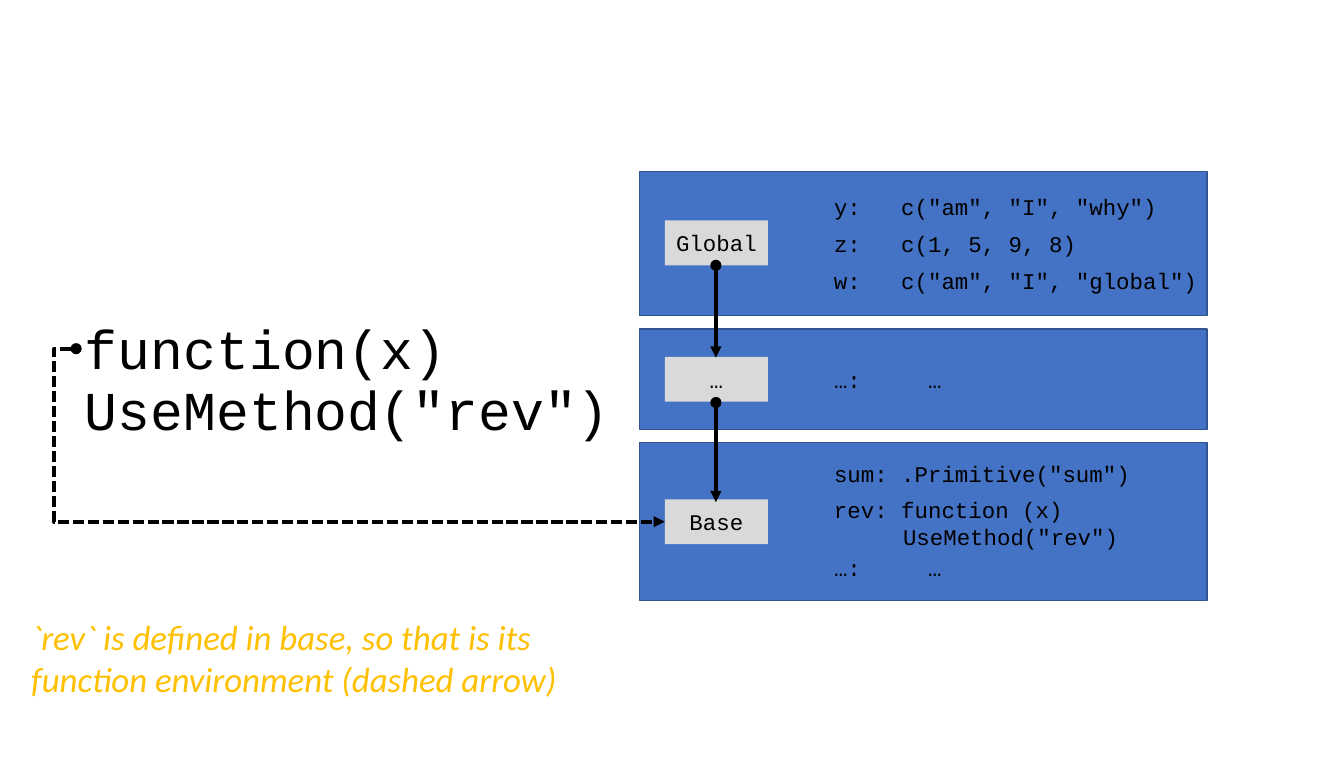
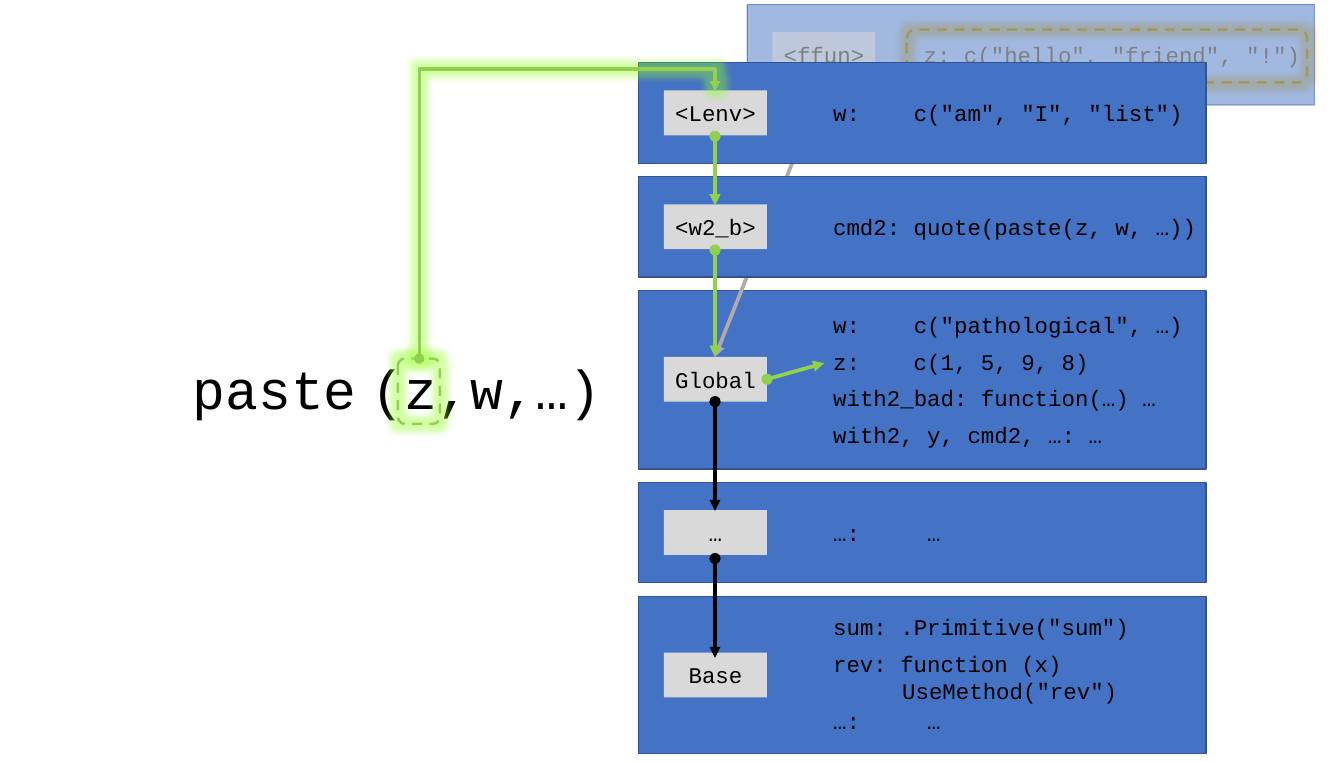
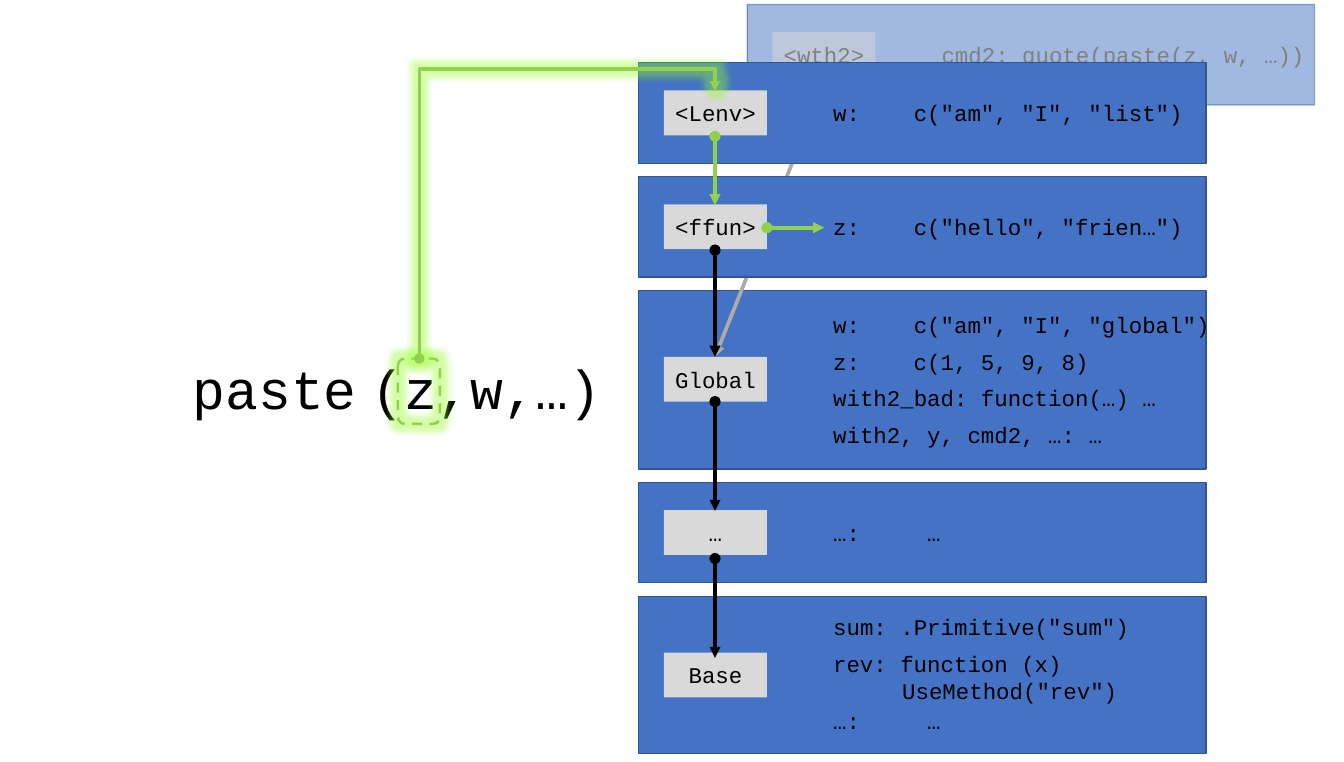
from dataclasses import dataclass

from lxml.etree import SubElement
from pptx import Presentation
from pptx.dml.color import RGBColor
from pptx.enum.dml import MSO_LINE
from pptx.enum.shapes import MSO_CONNECTOR as CONN, MSO_SHAPE as SHAPE
from pptx.enum.text import MSO_ANCHOR as ANCHOR, MSO_AUTO_SIZE as FIT, PP_ALIGN as ALIGN
from pptx.oxml.ns import qn
from pptx.util import Pt

PX = 9144  # EMU per px, 100 px to the inch


@dataclass(frozen=True)
class Theme:
    band: str = "4472C4"
    band_edge: str = "325491"
    chip: str = "D9D9D9"
    ink: str = "000000"
    faded_ink: str = "808080"
    faded_arrow: str = "AFABAB"
    found: str = "92D050"
    accent: str = "FFC000"
    code_font: str = "Courier New"
    text_font: str = "Calibri"
    code_size: int = 18
    caption_size: int = 28
    call_size: int = 44


T = Theme()

BAND_W, BAND_H, BAND_GAP = 633, 112, 15
CHIP_W, CHIP_H, CHIP_DX = 115, 50, 28
SPINE_DX = 85
ROW_H, ROW_PITCH, ROW_DX = 40, 41, 207
CHAR_W = 15
GLOW_RADIUS = 15


@dataclass(frozen=True)
class Row:
    """One binding; a tab in the text jumps to the given character column."""
    text: str
    column: int = 0
    indent: int = 0

    @property
    def width(self):
        value = self.text.split("\t")[-1]
        return CHAR_W * (self.column + len(value)) + 22


DOTS_ROW = Row("…:\t…", 7)
BASE_ROWS = [Row('sum: .Primitive("sum")'), Row("rev: function (x)"),
             Row('UseMethod("rev")', indent=77), DOTS_ROW]
BASE_TOPS = (14, 55, 85, 119)


def rgb(color):
    return RGBColor.from_string(color)


def px(*lengths):
    return [round(n * PX) for n in lengths]


def add_run(p, text, size, color, font, italic=False):
    r = p.add_run()
    r.text = text
    r.font.name, r.font.size = font, Pt(size)
    r.font.color.rgb, r.font.italic = rgb(color), italic


def add_text(s, x, y, w, h, text, size=T.code_size, color=T.ink,
             font=T.code_font, italic=False, anchor=ANCHOR.TOP, column=0):
    tf = s.shapes.add_textbox(*px(x, y, w, h)).text_frame
    tf.word_wrap, tf.auto_size = True, FIT.SHAPE_TO_FIT_TEXT
    tf.vertical_anchor = anchor
    p = tf.paragraphs[0]
    add_run(p, text, size, color, font, italic)
    if column:
        tabs = SubElement(p._p.get_or_add_pPr(), qn("a:tabLst"))
        SubElement(tabs, qn("a:tab"), pos=str(column * CHAR_W * PX), algn="l")


def add_call(s, x, y, w, text):
    add_text(s, x, y, w, 84, text, size=T.call_size)


def add_box(s, kind, x, y, w, h, fill=None, line=None, weight=1):
    sp = s.shapes.add_shape(kind, *px(x, y, w, h))
    sp.shadow.inherit = False
    if fill:
        sp.fill.solid()
        sp.fill.fore_color.rgb = rgb(fill)
    else:
        sp.fill.background()
    if line:
        sp.line.color.rgb, sp.line.width = rgb(line), Pt(weight)
    else:
        sp.line.fill.background()
    return sp


def make_translucent(sp):
    for color in sp.element.spPr.iter(qn("a:srgbClr")):
        SubElement(color, qn("a:alpha"), val="50000")


def add_glow(sp, color):
    effects = sp.element.spPr.find(qn("a:effectLst"))
    glow = SubElement(effects, qn("a:glow"), rad=str(GLOW_RADIUS * PX))
    clr = SubElement(glow, qn("a:srgbClr"), val=color)
    SubElement(clr, qn("a:satMod"), val="175000")
    SubElement(clr, qn("a:alpha"), val="40000")


def add_ring(s, x, y, w, h, color):
    """Dashed, glowing outline around a looked-up name."""
    sp = add_box(s, SHAPE.ROUNDED_RECTANGLE, x, y, w, h, line=color, weight=2)
    sp.line.dash_style = MSO_LINE.DASH
    add_glow(sp, color)


def add_arrow(s, start, end, color=T.ink, kind=CONN.STRAIGHT, weight=3, dash=None):
    c = s.shapes.add_connector(kind, *px(*start, *end))
    c.line.color.rgb, c.line.width = rgb(color), Pt(weight)
    if dash:
        c.line.dash_style = dash
    ln = c.line._get_or_add_ln()
    SubElement(ln, qn("a:headEnd"), type="oval")
    SubElement(ln, qn("a:tailEnd"), type="triangle")
    SubElement(c.element.spPr, qn("a:effectLst"))
    return c


def set_bend(c, percent):
    guides = c.element.spPr.find(qn("a:prstGeom")).find(qn("a:avLst"))
    SubElement(guides, qn("a:gd"), name="adj1", fmla=f"val {round(percent * 1000)}")


def add_vertical_elbow(s, start, end, percent, color):
    """Elbow that leaves vertically: a horizontal one turned by 90 degrees."""
    (x1, y1), (x2, y2) = start, end
    cx, cy = (x1 + x2) / 2, (y1 + y2) / 2
    dx, dy = (x2 - x1) / 2, (y1 - y2) / 2
    c = add_arrow(s, (cx + dy, cy + dx), (cx - dy, cy - dx), color, CONN.ELBOW, 2.75)
    c.element.spPr.find(qn("a:xfrm")).set("rot", "5400000")
    set_bend(c, percent)
    return c


def add_band(s, x, y, name, rows, h=BAND_H, tops=None, faded=False, row_dx=ROW_DX):
    """Environment: band, name chip and one text per binding."""
    ink = T.faded_ink if faded else T.ink
    band = add_box(s, SHAPE.ROUNDED_RECTANGLE, x, y, BAND_W, h, T.band, T.band_edge)
    band.adjustments[0] = 0
    chip = add_box(s, SHAPE.RECTANGLE, x + CHIP_DX, y + (h - CHIP_H) // 2,
                   CHIP_W, CHIP_H, T.chip)
    if faded:
        make_translucent(band)
        make_translucent(chip)
    tf = chip.text_frame
    tf.margin_left = tf.margin_right = tf.margin_top = tf.margin_bottom = 10 * PX
    tf.vertical_anchor = ANCHOR.MIDDLE
    p = tf.paragraphs[0]
    p.alignment = ALIGN.CENTER
    add_run(p, name, T.code_size, ink, T.code_font)

    first = (h - ROW_PITCH * len(rows)) // 2 + 1
    tops = tops or [first + ROW_PITCH * i for i in range(len(rows))]
    for row, top in zip(rows, tops):
        add_text(s, x + row_dx + row.indent, y + top, row.width, ROW_H,
                 row.text, color=ink, column=row.column)


def stack_tops(top, heights):
    tops = []
    for h in heights:
        tops.append(top)
        top += h + BAND_GAP
    return tops


def add_base(s, x, y):
    add_band(s, x, y, "Base", BASE_ROWS, 176, BASE_TOPS)


def build_function_slide(s):
    x = 714
    spine = x + SPINE_DX
    global_y, dots_y, base_y = stack_tops(191, (161, BAND_H, 176))
    add_base(s, x, base_y)
    add_band(s, x, dots_y, "…", [DOTS_ROW])
    add_band(s, x, global_y, "Global",
             [Row('y:\tc("am", "I", "why")', 5), Row("z:\tc(1, 5, 9, 8)", 5),
              Row('w:\tc("am", "I", "global")', 5)], 161)
    add_arrow(s, (spine, 296), (spine, 399))
    add_arrow(s, (spine, 449), (spine, 560))
    add_call(s, 85, 414, 435, "UseMethod")
    add_call(s, 414, 414, 281, '("rev")')
    add_call(s, 85, 346, 435, "function(x)")
    c = add_arrow(s, (85, 389), (742, 582), kind=CONN.ELBOW, dash=MSO_LINE.SQUARE_DOT)
    set_bend(c, -3.8)
    add_text(s, 25, 682, 673, 104,
             "`rev` is defined in base, so that is its function environment (dashed arrow)",
             T.caption_size, T.accent, T.text_font, True, ANCHOR.MIDDLE)


LOOKUP_X = 713
SPINE = LOOKUP_X + SPINE_DX
LIST_Y, CALLER_Y, GLOBAL_Y, DOTS_Y, BASE_Y = stack_tops(
    70, (BAND_H, BAND_H, 199, BAND_H, 176))


def add_call_and_search_path(s, global_w):
    """The paste call and the environments from Global down to Base."""
    add_call(s, 205, 391, 286, "paste")
    add_band(s, LOOKUP_X, DOTS_Y, "…", [DOTS_ROW])
    add_base(s, LOOKUP_X, BASE_Y)
    add_band(s, LOOKUP_X, GLOBAL_Y, "Global",
             [Row(global_w, 6), Row("z:\tc(1, 5, 9, 8)", 6),
              Row("with2_bad: function(…) …"), Row("with2, y, cmd2, …: …")], 199)
    add_arrow(s, (SPINE, 448), (SPINE, 570))
    add_arrow(s, (SPINE, 623), (SPINE, 734))
    add_call(s, 405, 391, 367, "(z,w,…)")
    add_ring(s, 444, 400, 47, 73, T.found)


def add_faded_band(s, name, row, row_dx=ROW_DX):
    add_band(s, 834, 5, name, [row], faded=True, row_dx=row_dx)


def add_faded_arrow(s):
    add_arrow(s, (920, 92), (SPINE, 398), T.faded_arrow)


def add_front_bands(s, name, row, to_global):
    """The caller and list environments, with the path from z into them."""
    add_band(s, LOOKUP_X, CALLER_Y, name, [row])
    add_band(s, LOOKUP_X, LIST_Y, "<Lenv>", [Row('w:\tc("am", "I", "list")', 6)])
    add_arrow(s, (SPINE, 152), (SPINE, 229), T.found)
    elbow = add_vertical_elbow(s, (468, 400), (SPINE, 102), 108.4, T.found)
    add_glow(elbow, T.found)
    add_arrow(s, (SPINE, 279), (SPINE, 398), to_global)


def build_bad_lookup_slide(s):
    add_ring(s, 1012, 33, 447, 59, T.accent)
    add_call_and_search_path(s, 'w:\tc("pathological", …)')
    add_arrow(s, (856, 423), (920, 405), T.found)
    add_faded_arrow(s)
    add_faded_band(s, "<ffun>", Row('z: c("hello", "friend", "!")'), row_dx=187)
    add_front_bands(s, "<w2_b>", Row("cmd2: quote(paste(z, w, …))"), T.found)


def build_good_lookup_slide(s):
    add_faded_band(s, "<wth2>", Row("cmd2: quote(paste(z, w, …))"))
    add_call_and_search_path(s, 'w:\tc("am", "I", "global")')
    add_faded_arrow(s)
    add_front_bands(s, "<ffun>", Row('z:\tc("hello", "frien…")', 6), T.ink)
    add_arrow(s, (856, 254), (920, 254), T.found)


def main():
    prs = Presentation()
    prs.slide_width, prs.slide_height = px(1500, 850)
    blank = prs.slide_layouts[6]
    for build in (build_function_slide, build_bad_lookup_slide, build_good_lookup_slide):
        build(prs.slides.add_slide(blank))
    prs.save("out.pptx")


if __name__ == "__main__":
    main()
